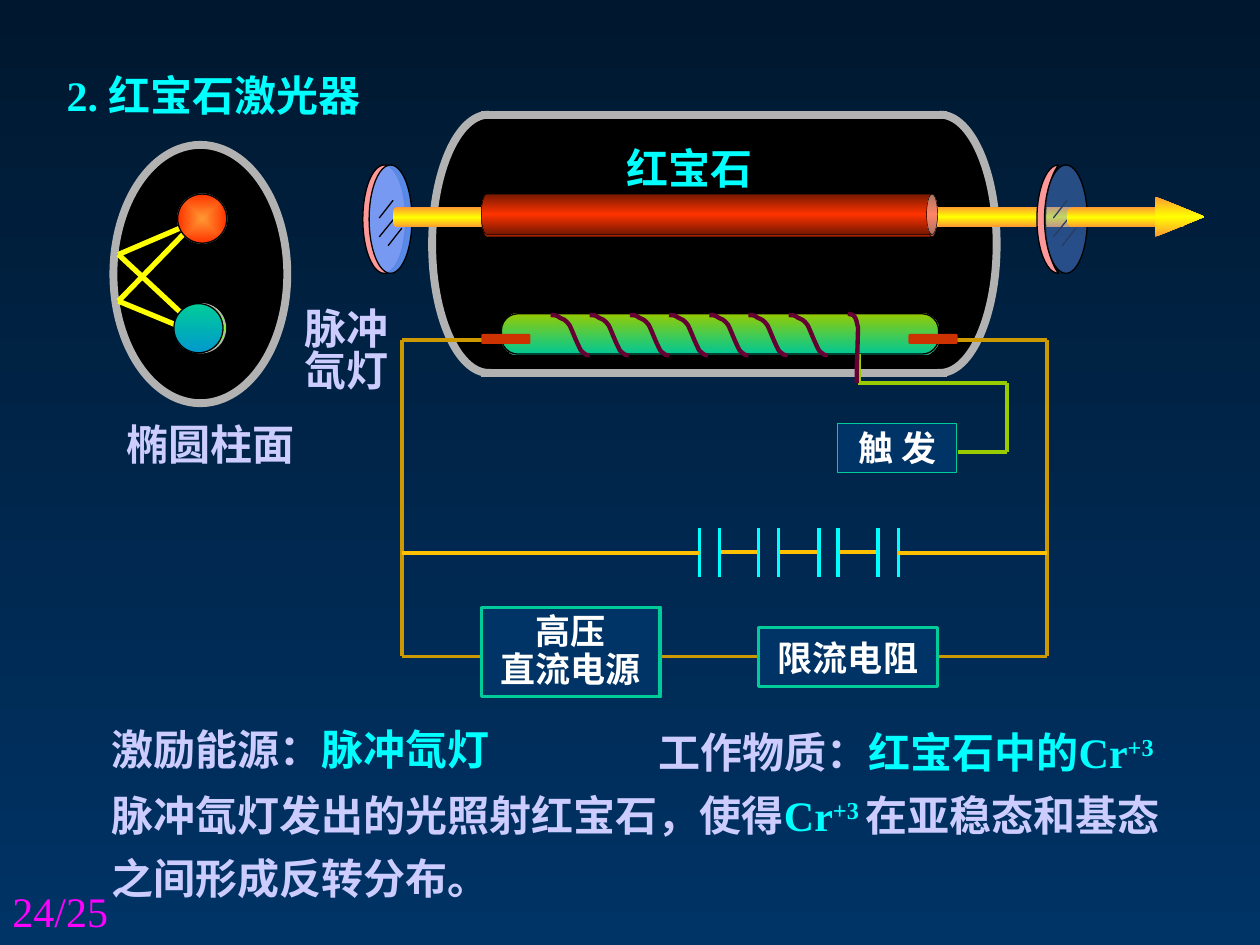
"""Build a slide explaining the ruby laser and its flash lamp circuit."""
from itertools import pairwise

from lxml.etree import SubElement
from pptx import Presentation
from pptx.dml.color import RGBColor
from pptx.enum.shapes import MSO_CONNECTOR, MSO_SHAPE
from pptx.enum.text import MSO_ANCHOR, MSO_AUTO_SIZE, PP_ALIGN
from pptx.oxml import parse_xml
from pptx.oxml.ns import nsdecls, qn
from pptx.util import Pt

PX = 9144
COLOURS = {
    "night": "00182F", "navy": "003366", "black": "000000", "white": "FFFFFF", "grey": "B2B2B2",
    "teal": "00CC99", "pine": "00926D", "lime": "99FF33", "olive": "99CC00", "sea": "0099CC",
    "red": "FF3300", "maroon": "761800", "brick": "CC3300", "orange": "FF9933", "yellow": "FFFF00",
    "pink": "FF9999", "blue": "6699FF", "cyan": "00FFFF", "gold": "FFC000", "ochre": "CC9900",
    "plum": "660033", "lilac": "CCCCFF", "magenta": "FF00FF",
}
RGB = {name: RGBColor.from_string(value) for name, value in COLOURS.items()}
HAN, ROMAN = "Noto Sans CJK SC", "Times New Roman"
BEAM = ("orange", "yellow", "orange")
OVAL, CAN, ROUND, RECT = MSO_SHAPE.OVAL, MSO_SHAPE.CAN, MSO_SHAPE.ROUNDED_RECTANGLE, MSO_SHAPE.RECTANGLE

deck = Presentation()
deck.slide_width, deck.slide_height = 1000 * PX, 750 * PX
page = deck.slides.add_slide(deck.slide_layouts[6])
backdrop = page.background.fill
backdrop.gradient()
backdrop.gradient_angle = 270
for stop, name in zip(backdrop.gradient_stops, ("night", "navy")):
    stop.color.rgb = RGB[name]


def add_form(kind, at, fill=(), line=None, weight=0.75, adjust=(), turn=0, angle=None):
    """Add a preset shape or a list of Bezier points; fill lists stops as colour or colour/opacity."""
    if isinstance(kind, list):
        points = [((at[0] + x) * PX, (at[1] + y) * PX) for x, y in kind]
        builder = page.shapes.build_freeform(*points[0])
        builder.add_line_segments(points[1:], close=False)
        form = builder.convert_to_shape()
        outline = next(form.element.iter(qn("a:path")))
        corners = outline.findall(qn("a:lnTo"))
        for first in range(0, len(corners), 3):
            bend = SubElement(outline, qn("a:cubicBezTo"))
            for corner in corners[first:first + 3]:
                bend.append(corner[0])
                outline.remove(corner)
    else:
        form = page.shapes.add_shape(kind, *[value * PX for value in at])
    form.rotation = turn
    form.shadow.inherit = False
    for index, value in enumerate(adjust):
        form.adjustments[index] = value
    if line:
        form.line.color.rgb, form.line.width = RGB[line], Pt(weight)
    else:
        form.line.fill.background()
    form.fill.background()
    colours = []
    for stop in fill:
        name, _, opacity = stop.partition("/")
        alpha = f'<a:alpha val="{opacity}000"/>' if opacity else ""
        colours.append(f'<a:srgbClr val="{COLOURS[name]}">{alpha}</a:srgbClr>')
    if not colours:
        return form
    if len(colours) == 1:
        xml = f'<a:solidFill {nsdecls("a")}>{colours[0]}</a:solidFill>'
    else:
        stops = "".join(f'<a:gs pos="{100000 * index // (len(colours) - 1)}">{colour}</a:gs>'
                        for index, colour in enumerate(colours))
        shade = f'<a:lin ang="{(angle or 0) * 60000}" scaled="0"/>'
        if angle is None:
            shade = '<a:path path="shape"><a:fillToRect l="50000" t="50000" r="50000" b="50000"/></a:path>'
        xml = f'<a:gradFill {nsdecls("a")} rotWithShape="1"><a:gsLst>{stops}</a:gsLst>{shade}</a:gradFill>'
    properties = form.element.spPr
    properties.replace(properties.find(qn("a:noFill")), parse_xml(xml))
    return form


def add_wire(colour, weight, *points):
    """Join the points with straight connectors."""
    for start, end in pairwise(points):
        wire = page.shapes.add_connector(MSO_CONNECTOR.STRAIGHT, *[value * PX for value in start + end])
        wire.line.color.rgb, wire.line.width = RGB[colour], Pt(weight)
        SubElement(wire.element.spPr, qn("a:effectLst"))


hatching = (((301, 173), (312, 159)), ((301, 188), (319, 166)), ((308, 195), (319, 181)))

add_form(OVAL, (90, 115, 138, 205), ["black"], "grey", 4.5)
add_form(OVAL, (140, 241, 39, 39), ["teal", "lime"], "grey")
add_form(OVAL, (141, 154, 39, 39), ["red/88"], "grey")
add_form(OVAL, (288, 131, 34, 86), ["pink"], "black")
add_form(OVAL, (293, 131, 34, 86), ["blue/88"], "black")
for stroke in hatching:
    add_wire("black", 0.75, *stroke)

add_form(RECT, (385, 91, 366, 205), ["black"])
cap_curve = [(0, 0), (25, 0), (45, 46), (45, 103), (45, 159), (25, 205), (0, 205),
             (-1, 205), (-1, 205), (-2, 205)]
for left, side in ((388, -1), (746, 1)):
    add_form([(side * x, y) for x, y in cap_curve], (left, 91), ["black"], "grey", 4.5)
for level in (91, 296):
    add_wire("grey", 4.5, (382, level), (752, level))

add_form(CAN, (524, -48, 16, 441), BEAM, adjust=[0.41], turn=90, angle=0)
add_form(CAN, (547, -9, 32, 362), ["red/66"], "black", 0.25, [0.27], 90)
add_form(CAN, (787, 113, 16, 118), BEAM, adjust=[0.11], turn=90, angle=0)
for stroke in hatching:
    add_wire("black", 0.75, *[(x + 535, y) for x, y in stroke])
add_form(MSO_SHAPE.MOON, (823, 131, 17, 86), ["pink"], "black", adjust=[0.4])
add_form(OVAL, (829, 131, 34, 86), ["blue/39"], "black")
add_form(CAN, (886, 125, 16, 95), BEAM, adjust=[0.55], turn=90, angle=0)
add_form(ROUND, (398, 250, 347, 32), ["pine", "teal", "pine"], "black", adjust=[0.41], angle=90)
trigger = add_form(RECT, (665, 336, 94, 39), ["navy"], "teal")

plates = [(555, 571), (602, 618), (650, 665), (697, 713)]
for (_, left), (right, _) in pairwise(plates):
    add_wire("gold", 2, (left, 438), (right, 438))
for plate in sum(plates, ()):
    add_wire("cyan", 2, (plate, 419), (plate, 458))
add_wire("ochre", 2, (390, 270), (319, 270), (319, 521), (831, 521), (831, 270), (752, 270))
add_wire("gold", 2, (555, 439), (319, 439))
add_wire("gold", 2, (831, 439), (713, 439))
supply = add_form(RECT, (382, 482, 142, 71), ["navy"], "teal", 2)
resistor = add_form(RECT, (602, 498, 142, 47), ["navy"], "teal", 2)
add_form(MSO_SHAPE.RIGHT_ARROW, (917, 156, 39, 32), BEAM, adjust=[0.5, 1.23], angle=90)
add_form(ROUND, (398, 249, 347, 32), ["olive", "teal/90"], "black", adjust=[0.41], angle=90)
add_wire("yellow", 3, (153, 257), (94, 202), (150, 178))
add_wire("yellow", 3, (157, 265), (94, 239), (161, 170))
add_wire("olive", 2.25, (681, 304), (799, 304), (799, 359), (760, 359))
add_wire("olive", 3, (681, 281), (681, 304))

LEFT, CENTER = PP_ALIGN.LEFT, PP_ALIGN.CENTER
texts = [
    (trigger, CENTER, 1, 20, [[("触 发", HAN, "white")]]),
    (supply, CENTER, 0.9, 20, [[("高压", ROMAN, "white")], [("直流电源", ROMAN, "white")]]),
    (resistor, CENTER, 1, 20, [[("限流电阻", ROMAN, "white")]]),
    ((43, 50, 354, 50), LEFT, 1, 24, [[("2. 红宝石激光器", ROMAN, "cyan")]]),
    ((513, 562, 452, 60), LEFT, 1.25, 24, [[
        ("工作物质：", ROMAN, "lilac"), ("红宝石中的Cr", ROMAN, "cyan"), ("+3", ROMAN, "cyan")]]),
    ((79, 569, 362, 50), LEFT, 1, 24, [[("激励能源：", ROMAN, "lilac"), ("脉冲氙灯", ROMAN, "cyan")]]),
    ((79, 612, 869, 110), LEFT, 1.25, 24, [[
        ("脉冲氙灯发出的光照射红宝石，使得", HAN, "lilac"), ("Cr", ROMAN, "cyan"), ("+3 ", ROMAN, "cyan"),
        ("在亚稳态和基态之间形成反转分布。", HAN, "lilac")]]),
    ((91, 327, 197, 50), LEFT, 1, 24, [[("椭圆柱面", HAN, "lilac")]]),
    ((232, 241, 102, 78), LEFT, 0.85, 24, [[("脉冲氙灯", HAN, "lilac")]]),
    ((476, 108, 142, 50), CENTER, 1, 24, [[("红宝石", HAN, "cyan")]]),
    ((0, 698, 233, 52), LEFT, 1, 24, [[("24/25", ROMAN, "magenta")]]),
]
for box, align, spacing, size, lines in texts:
    frame_format = {"word_wrap": False, "vertical_anchor": MSO_ANCHOR.MIDDLE}
    if isinstance(box, tuple):
        box = page.shapes.add_textbox(*[value * PX for value in box])
        frame_format = {"word_wrap": True, "auto_size": MSO_AUTO_SIZE.SHAPE_TO_FIT_TEXT}
    frame = box.text_frame
    for name, value in frame_format.items():
        setattr(frame, name, value)
    for index, spans in enumerate(lines):
        para = frame.add_paragraph() if index else frame.paragraphs[0]
        para.alignment, para.line_spacing = align, spacing
        for text, font, colour in spans:
            span = para.add_run()
            span.text = text
            for name, value in {"size": Pt(size), "bold": colour != "magenta", "name": font}.items():
                setattr(span.font, name, value)
            span.font.color.rgb = RGB[colour]
            properties = span._r.get_or_add_rPr()
            SubElement(properties, qn("a:ea"), typeface=HAN)
            if text.startswith("+3"):
                properties.set("baseline", "30000")

turn_curve = [(0, 0), (2, 0), (5, 0), (7, 2), (10, 3), (12, 4), (15, 8), (17, 12), (20, 20), (22, 24),
              (24, 28), (24, 29), (26, 30), (27, 32), (30, 32), (31, 32)]
lead_curve = [(0, 0), (2, 1), (3, 0), (4, 1), (7, 3), (7, 8), (8, 11), (7, 49), (7, 35), (7, 55)]
for index in range(7):
    add_form(turn_curve, (437 + 63 * index // 2, 250), line="plum", weight=2.5)
add_form(lead_curve, (673, 249), line="plum", weight=2.5)
for left in (721, 382):
    add_form(ROUND, (left, 265, 39, 8), ["brick"])
add_form(CAN, (547, -11, 32, 362), ["maroon", "red", "maroon"], "black", 0.25, [0.27], 90, 0)
add_form(OVAL, (138, 241, 39, 39), ["teal", "sea"], "black", angle=90)
add_form(OVAL, (141, 154, 39, 39), ["orange", "red"], "black")

deck.save("out.pptx")
